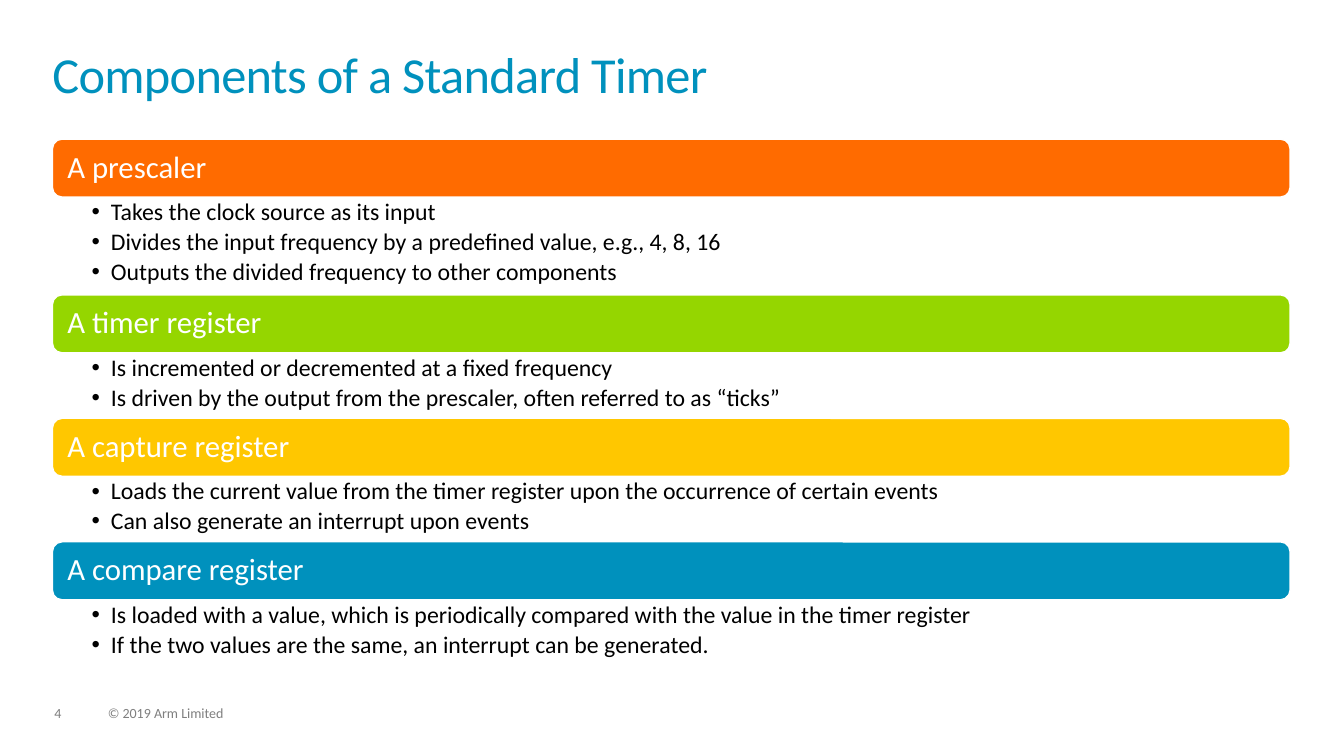
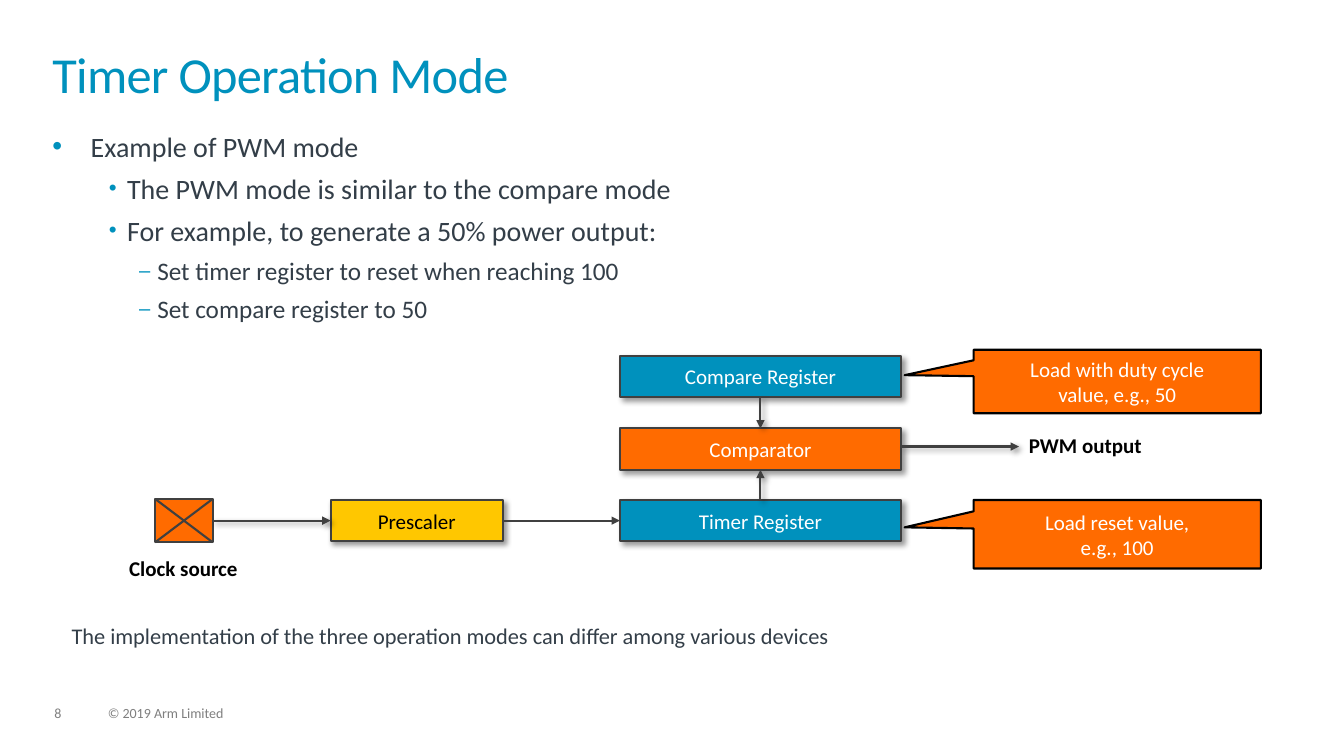
from lxml import etree
from pptx import Presentation
from pptx import util as u
from pptx.dml import color
from pptx.enum import shapes, text
from pptx.oxml import ns

PX = 4572
FONT = "Calibri"
COLOURS = {
    "blue": "0091BD", "orange": "FF6B00", "green": "95D600", "yellow": "FFC700",
    "white": "FFFFFF", "black": "000000", "ink": "333E48", "grey": "7F7F7F",
    "outline": "404040",
}
LEFT, WIDTH = 104, 2456
SHAPE = shapes.MSO_SHAPE
MIDDLE = text.MSO_ANCHOR.MIDDLE
CENTER = text.PP_ALIGN.CENTER
TOP_SIDE, LEFT_SIDE, BOTTOM_SIDE, RIGHT_SIDE = range(4)

COMPONENTS = [
    ("A prescaler", "orange", [
        "Takes the clock source as its input",
        "Divides the input frequency by a predefined value, e.g., 4, 8, 16",
        "Outputs the divided frequency to other components"]),
    ("A timer register", "green", [
        "Is incremented or decremented at a fixed frequency",
        "Is driven by the output from the prescaler, often referred to as “ticks”"]),
    ("A capture register", "yellow", [
        "Loads the current value from the timer register upon the occurrence of certain events",
        "Can also generate an interrupt upon events"]),
    ("A compare register", "blue", [
        "Is loaded with a value, which is periodically compared with the value in the timer register",
        "If the two values are the same, an interrupt can be generated."]),
]
PWM_POINTS = [
    (0, "Example of PWM mode"),
    (1, "The PWM mode is similar to the compare mode"),
    (1, "For example, to generate a 50% power output:"),
    (2, "Set timer register to reset when reaching 100"),
    (2, "Set compare register to 50"),
]
LEVELS = [
    dict(char="•", margin=76, hang=76, size=20, percent=100),
    dict(char="•", margin=148, hang=36, size=20, percent=80),
    dict(char="–", margin=208, hang=36, size=18, percent=80),
]


def px(*lengths):
    return [u.Emu(length * PX) for length in lengths]


def rgb(name):
    return color.RGBColor.from_string(COLOURS[name])


def add_element(parent, tag, **attributes):
    child = etree.SubElement(parent, ns.qn(tag))
    for name, value in attributes.items():
        child.set(name, str(value))
    return child


def add_shadow(item):
    effects = item._element.spPr.find(ns.qn("a:effectLst"))
    shadow = add_element(effects, "a:outerShdw", blurRad=u.Pt(4), dist=u.Pt(3),
                         dir=45 * 60000, algn="tl", rotWithShape=0)
    tint = add_element(shadow, "a:srgbClr", val=COLOURS["black"])
    add_element(tint, "a:alpha", val=40000)


def add_bullet(para, char, margin, hang, percent=100, tint="black"):
    properties = para._p.get_or_add_pPr()
    properties.set("marL", str(margin * PX))
    properties.set("indent", str(-hang * PX))
    bullet_colour = add_element(properties, "a:buClr")
    add_element(bullet_colour, "a:srgbClr", val=COLOURS[tint])
    add_element(properties, "a:buSzPct", val=percent * 1000)
    add_element(properties, "a:buFont", typeface="Arial")
    add_element(properties, "a:buChar", char=char)


def format_para(para, size, tint, bold=False, align=None, spacing=None):
    if align is not None:
        para.alignment = align
    if spacing is not None:
        para.line_spacing = spacing
    for span in para.runs:
        span.font.name = FONT
        span.font.size = u.Pt(size)
        span.font.bold = bold
        span.font.color.rgb = rgb(tint)


def set_insets(frame, insets):
    (frame.margin_left, frame.margin_top,
     frame.margin_right, frame.margin_bottom) = px(*insets)


def add_text(page, box, words, size, tint, insets=(0, 0, 0, 0), **style):
    frame = page.shapes.add_textbox(*px(*box)).text_frame
    frame.word_wrap = True
    set_insets(frame, insets)
    frame.text = words
    for para in frame.paragraphs:
        format_para(para, size, tint, **style)
    return frame


def add_block(page, box, fill, line, weight=1.5, kind=SHAPE.RECTANGLE):
    block = page.shapes.add_shape(kind, *px(*box))
    block.shadow.inherit = False
    block.fill.solid()
    block.fill.fore_color.rgb = rgb(fill)
    block.line.color.rgb = rgb(line)
    block.line.width = u.Pt(weight)
    return block


def label_block(block, words, tint="white"):
    frame = block.text_frame
    frame.word_wrap = False
    frame.vertical_anchor = MIDDLE
    frame.text = words
    for para in frame.paragraphs:
        format_para(para, 15, tint, align=CENTER)


def add_line(page, start, end, arrow=False, shadow=False):
    line = page.shapes.add_connector(shapes.MSO_CONNECTOR.STRAIGHT, *px(*start, *end))
    line.line.color.rgb = rgb("outline")
    line.line.width = u.Pt(1.5)
    if arrow:
        add_element(line.line._get_or_add_ln(), "a:tailEnd", type="triangle")
    add_element(line._element.spPr, "a:effectLst")
    if shadow:
        add_shadow(line)
    return line


def join_blocks(page, first, first_side, second, second_side, shadow=True):
    arrow = add_line(page, (0, 0), (0, 0), arrow=True, shadow=shadow)
    arrow.begin_connect(first, first_side)
    arrow.end_connect(second, second_side)


def add_page(deck, title, number):
    page = deck.slides.add_slide(deck.slide_layouts[6])
    for left, width, words in ((108, 68, number), (214, 1014, "© 2019 Arm Limited")):
        add_text(page, (left, 1402, width, 30), words, 10, "grey", spacing=0.9)
    heading = add_text(page, (LEFT, 104, WIDTH, 144), title, 36, "blue", spacing=0.85)
    heading.paragraphs[0].runs[0].font._element.set("spc", "-50")
    return page


def add_component(page, left, top, width, name, fill, points):
    header_height = 115
    body_height = 64 * len(points) + 2
    header = add_block(page, (left, top, width, header_height), fill, "white", 1,
                       SHAPE.ROUNDED_RECTANGLE)
    frame = header.text_frame
    set_insets(frame, (24, 18, 24, 18))
    frame.vertical_anchor = MIDDLE
    frame.text = name
    format_para(frame.paragraphs[0], 22, "white", align=text.PP_ALIGN.LEFT, spacing=0.9)

    body = add_text(page, (left, top + header_height, width, body_height),
                    "\n".join(points), 17, "black", (78, 6, 34, 6), spacing=0.9)
    for para in body.paragraphs:
        add_bullet(para, "•", 38, 38)
        para.space_after = u.Pt(3)
    return top + header_height + body_height


def build_components(deck):
    page = add_page(deck, "Components of a Standard Timer", "4")
    top = 276
    for name, fill, points in COMPONENTS:
        top = add_component(page, LEFT, top, WIDTH, name, fill, points)


def add_outline(page, box):
    frame = add_text(page, box, "\n".join(words for _, words in PWM_POINTS), 20, "ink")
    for index, (para, (depth, _)) in enumerate(zip(frame.paragraphs, PWM_POINTS)):
        level = LEVELS[depth]
        para.level = depth
        add_bullet(para, level["char"], level["margin"], level["hang"],
                   level["percent"], "blue")
        para.space_before = u.Pt(6 if index else 0)
        para.runs[0].font.size = u.Pt(level["size"])


def add_clock(page, left, top, width, height):
    clock = add_block(page, (left, top, width, height), "orange", "outline")
    right, bottom = left + width, top + height
    add_line(page, (left, top), (right, bottom))
    add_line(page, (right, top), (left, bottom))
    return clock


def add_diagram(page, left, top):
    stages = {}
    for name, x, y, width, fill, tint in (
            ("Timer Register", 922, 298, 558, "blue", "white"),
            ("Compare Register", 922, 12, 558, "blue", "white"),
            ("Comparator", 922, 156, 558, "orange", "white"),
            ("Prescaler", 348, 298, 342, "yellow", "black")):
        stage = add_block(page, (left + x, top + y, width, 82), fill, "outline")
        add_shadow(stage)
        label_block(stage, name, tint)
        stages[name] = stage

    clock = add_clock(page, left, top + 296, 114, 86)
    timer, comparator = stages["Timer Register"], stages["Comparator"]
    join_blocks(page, clock, RIGHT_SIDE, stages["Prescaler"], LEFT_SIDE)
    join_blocks(page, stages["Prescaler"], RIGHT_SIDE, timer, LEFT_SIDE, shadow=False)
    join_blocks(page, timer, TOP_SIDE, comparator, BOTTOM_SIDE)
    join_blocks(page, stages["Compare Register"], BOTTOM_SIDE, comparator, TOP_SIDE)
    add_line(page, (left + 1480, top + 192), (left + 1714, top + 192),
             arrow=True, shadow=True)

    for words, x, y, width, align in (
            ("PWM output", 1714, 154, 480, text.PP_ALIGN.LEFT),
            ("Clock source", -144, 398, 400, CENTER)):
        add_text(page, (left + x, top + y, width, 70), words, 15, "black",
                 (20, 10, 20, 10), bold=True, align=align)

    for words, y, height in (("Load with duty cycle\nvalue, e.g., 50", 0, 126),
                             ("Load reset value,\ne.g., 100", 298, 136)):
        callout = add_block(page, (left + 1624, top + y, 570, height), "orange", "black",
                            kind=SHAPE.RECTANGULAR_CALLOUT)
        callout.adjustments[0] = -0.74
        callout.adjustments[1] = -0.1
        label_block(callout, words)


def build_pwm(deck):
    page = add_page(deck, "Timer Operation Mode", "8")
    add_outline(page, (LEFT, 256, WIDTH, 402))
    add_diagram(page, 308, 694)
    add_text(page, (142, 1234, 2418, 54),
             "The implementation of the three operation modes can differ among various devices",
             16, "ink")


def main():
    deck = Presentation()
    deck.slide_width, deck.slide_height = px(2667, 1500)
    build_components(deck)
    build_pwm(deck)
    deck.save("out.pptx")


if __name__ == "__main__":
    main()
